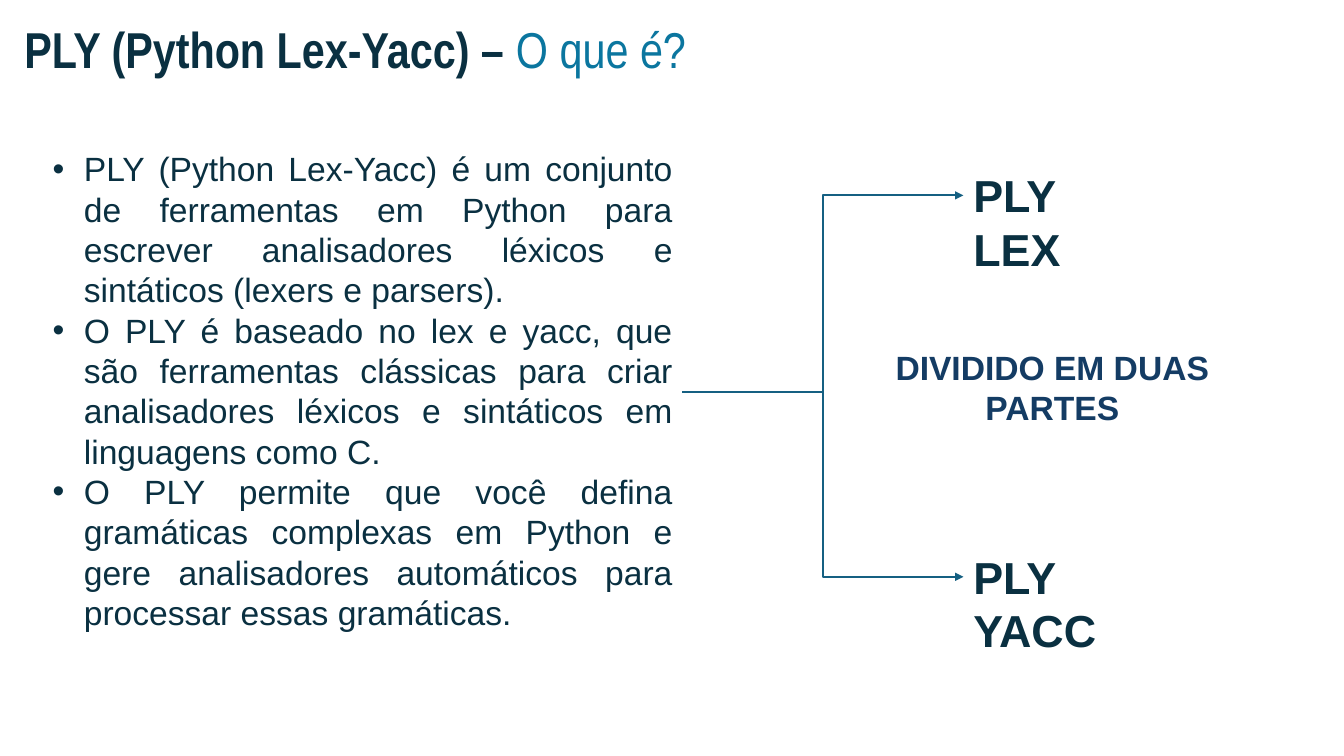
from lxml import etree
from pptx import Presentation
from pptx.dml.color import RGBColor
from pptx.enum.shapes import MSO_CONNECTOR
from pptx.enum.text import MSO_ANCHOR, MSO_AUTO_SIZE, PP_ALIGN
from pptx.oxml.ns import qn
from pptx.util import Cm, Pt

ELBOW = MSO_CONNECTOR.ELBOW
TOP, BOTTOM = MSO_ANCHOR.TOP, MSO_ANCHOR.BOTTOM
FIXED = MSO_AUTO_SIZE.NONE
LEFT, CENTER, JUSTIFY = PP_ALIGN.LEFT, PP_ALIGN.CENTER, PP_ALIGN.JUSTIFY

INK, TEAL, NAVY, WIRE = "0A3041", "0B769F", "143C64", "156082"

FACTS = [
    "PLY (Python Lex-Yacc) é um conjunto de ferramentas em Python para "
    "escrever analisadores léxicos e sintáticos (lexers e parsers).",
    "O PLY é baseado no lex e yacc, que são ferramentas clássicas para criar "
    "analisadores léxicos e sintáticos em linguagens como C.",
    "O PLY permite que você defina gramáticas complexas em Python e gere "
    "analisadores automáticos para processar essas gramáticas.",
]


def color(code):
    return RGBColor.from_string(code)


def add_run(para, text, size, code, bold=False, font="Arial"):
    run = para.add_run()
    run.text = text
    run.font.size = Pt(size)
    run.font.name = font
    run.font.bold = bold
    run.font.color.rgb = color(code)


def place(shape, box):
    shape.left, shape.top, shape.width, shape.height = map(Cm, box)


def set_frame(shape, anchor):
    frame = shape.text_frame
    frame.word_wrap = True
    frame.auto_size = FIXED
    frame.vertical_anchor = anchor
    return frame


def add_bullet(para):
    props = para._p.get_or_add_pPr()
    props.set("marL", str(Cm(0.79)))
    props.set("indent", str(-Cm(0.79)))
    tint = etree.SubElement(props, qn("a:buClr"))
    etree.SubElement(tint, qn("a:srgbClr"), val=INK)
    etree.SubElement(props, qn("a:buFont"), typeface="Arial")
    etree.SubElement(props, qn("a:buChar"), char="•")


def add_head(slide, box):
    title = slide.shapes.title
    place(title, box)
    para = set_frame(title, BOTTOM).paragraphs[0]
    para.alignment = LEFT
    para.line_spacing = 0.9
    add_run(para, "PLY (Python Lex-Yacc) – ", 36, INK, True, "Arial Narrow")
    add_run(para, "O que é?", 36, TEAL, False, "Arial Narrow")


def add_list(slide, box):
    body = slide.placeholders[1]
    place(body, box)
    frame = set_frame(body, TOP)
    for i, fact in enumerate(FACTS):
        para = frame.add_paragraph() if i else frame.paragraphs[0]
        add_bullet(para)
        para.alignment = JUSTIFY
        para.space_before = Pt(0)
        add_run(para, fact, 24, INK)


def add_label(slide, box, text, size, code, align):
    label = slide.shapes.add_textbox(*map(Cm, box))
    para = set_frame(label, TOP).paragraphs[0]
    para.alignment = align
    add_run(para, text, size, code, True)


def add_arrow(slide, start, end):
    arrow = slide.shapes.add_connector(ELBOW, *map(Cm, start + end))
    arrow.line.color.rgb = color(WIRE)
    arrow.line.width = Pt(1.5)
    etree.SubElement(arrow.line._get_or_add_ln(), qn("a:tailEnd"), type="triangle")
    etree.SubElement(arrow._element.spPr, qn("a:effectLst"))


def add_split(slide, box):
    x, y, width, height = box
    root = (x, y + 5.77)
    tip = x + 7.08
    tall = 1.63
    parts = [("PLY LEX", y, 4.98), ("PLY YACC", y + height - tall, 5.72)]
    for text, top, wide in parts:
        add_arrow(slide, root, (tip, top + tall / 2))
        add_label(slide, (tip, top, wide, tall), text, 32, INK, JUSTIFY)
    note = (x + 4.85, y + 4.5, width - 4.85, 2.31)
    add_label(slide, note, "DIVIDIDO EM DUAS PARTES", 24, NAVY, CENTER)


def main():
    deck = Presentation()
    deck.slide_width, deck.slide_height = Cm(33.87), Cm(19.05)
    slide = deck.slides.add_slide(deck.slide_layouts[1])
    add_head(slide, (0.36, 0.3, 30, 1.83))
    add_list(slide, (1.07, 3.61, 16.13, 12.57))
    add_split(slide, (17.2, 4.11, 13.79, 11.24))
    deck.save("out.pptx")


if __name__ == "__main__":
    main()
